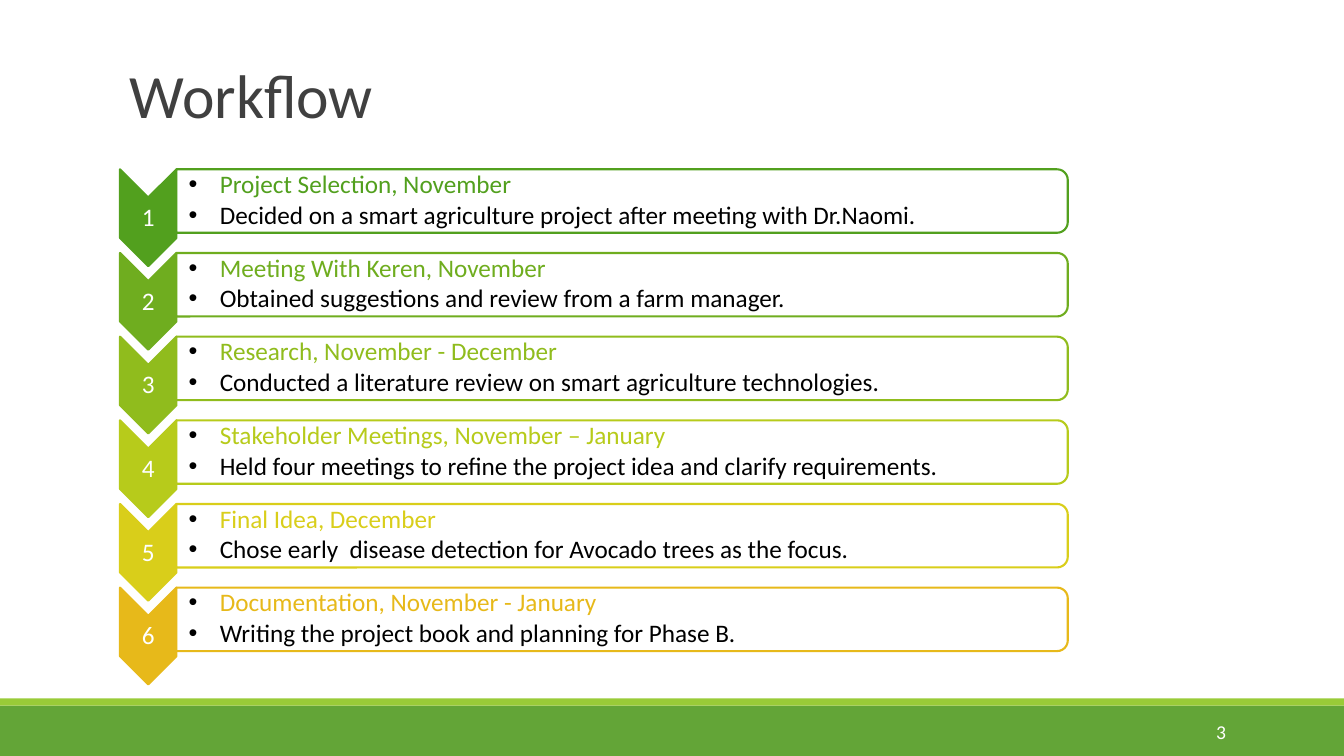
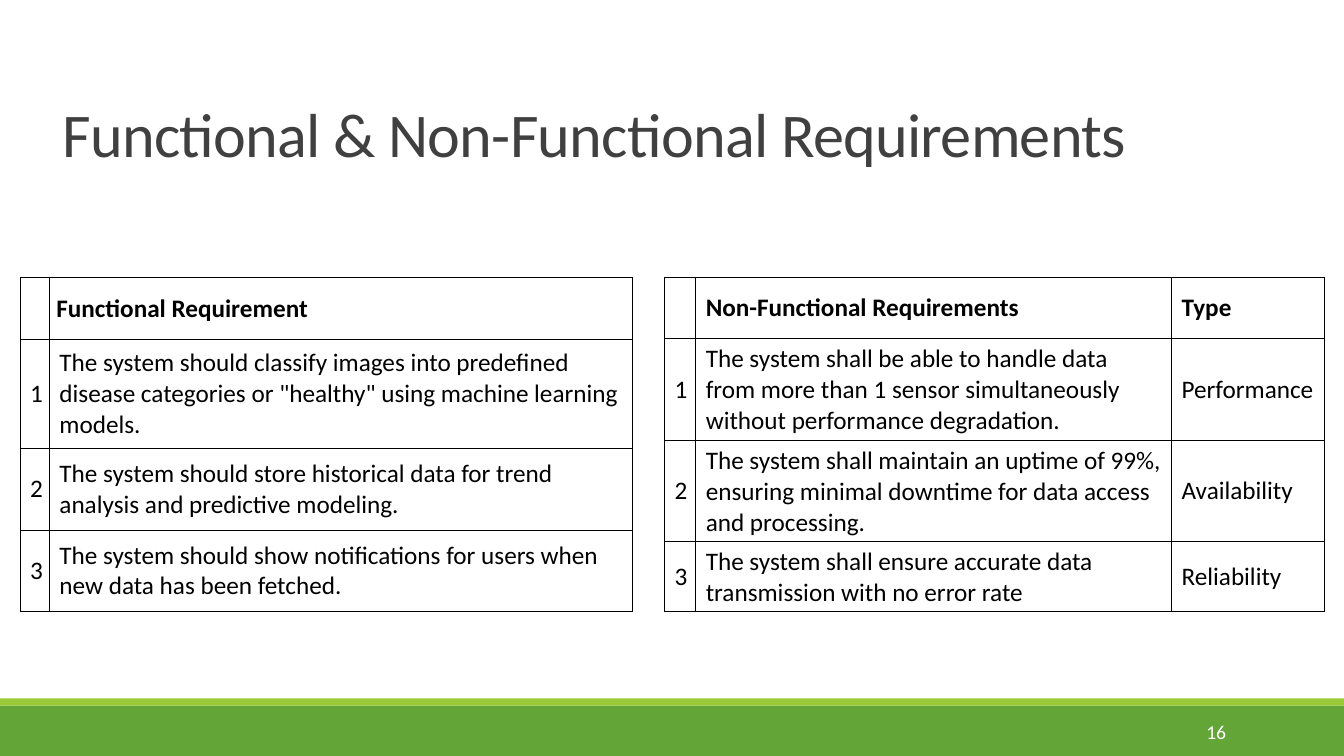
from lxml.etree import SubElement
from pptx import Presentation
from pptx.dml.color import RGBColor
from pptx.enum.shapes import MSO_SHAPE as Shape
from pptx.enum.text import MSO_ANCHOR as Anchor, PP_ALIGN as Align
from pptx.oxml.ns import qn
from pptx.util import Pt

EMU_PER_PX = 9144
COLORS = {
    "band": "63A537",
    "stripe": "99CB38",
    "title": "404040",
    "text": "000000",
    "paper": "FFFFFF",
    "step1": "52A01E",
    "step2": "6FAD1F",
    "step3": "90BC1D",
    "step4": "B7CB1B",
    "step5": "D9CE1A",
    "step6": "E7B91A",
}

STEPS = [
    ("Project Selection, November",
     "Decided on a smart agriculture project after meeting with Dr.Naomi."),
    ("Meeting With Keren, November",
     "Obtained suggestions and review from a farm manager."),
    ("Research, November - December",
     "Conducted a literature review on smart agriculture technologies."),
    ("Stakeholder Meetings, November – January",
     "Held four meetings to refine the project idea and clarify requirements."),
    ("Final Idea, December",
     "Chose early  disease detection for Avocado trees as the focus."),
    ("Documentation, November - January",
     "Writing the project book and planning for Phase B."),
]

FUNCTIONAL = [
    ("", "Functional Requirement"),
    ("1", "The system should classify images into predefined disease categories "
          "or \"healthy\" using machine learning models."),
    ("2", "The system should store historical data for trend analysis and "
          "predictive modeling."),
    ("3", "The system should show notifications for users when new data has "
          "been fetched."),
]

NON_FUNCTIONAL = [
    ("", "Non-Functional Requirements", "Type"),
    ("1", "The system shall be able to handle data from more than 1 sensor "
          "simultaneously without performance degradation.", "Performance"),
    ("2", "The system shall maintain an uptime of 99%, ensuring minimal downtime "
          "for data access and processing.", "Availability"),
    ("3", "The system shall ensure accurate data transmission with no error rate",
     "Reliability"),
]


def px(length):
    return int(length * EMU_PER_PX)


def rgb(name):
    return RGBColor.from_string(COLORS[name])


class Deck:
    font_name = "Calibri"
    insets = (10, 5, 10, 5)
    tight = (1, 1, 1, 1)

    def __init__(self):
        self.prs = Presentation()
        self.prs.slide_width = px(1333)
        self.prs.slide_height = px(750)
        self.slide = None

    def new_slide(self, number):
        self.slide = self.prs.slides.add_slide(self.prs.slide_layouts[6])
        self.shape(Shape.RECTANGLE, (0, 700, 1333, 50), "band")
        self.shape(Shape.RECTANGLE, (0, 693, 1333, 7), "stripe")
        self.text((1083, 706, 143, 40), [(number, "paper")], size=14,
                  align=Align.RIGHT)

    def shape(self, preset, box, fill, line=None, adjust=(), turned=False, alpha=None):
        left, top, width, height = box
        if turned:
            shift = (width - height) / 2
            left, top, width, height = left + shift, top - shift, height, width
        item = self.slide.shapes.add_shape(preset, *map(px, (left, top, width, height)))
        item.shadow.inherit = False
        item.rotation = 90 if turned else 0
        for index, value in enumerate(adjust):
            item.adjustments[index] = value
        item.fill.solid()
        item.fill.fore_color.rgb = rgb(fill)
        if alpha:
            color = item.fill._xPr.find(qn("a:solidFill"))[0]
            SubElement(color, qn("a:alpha")).set("val", str(alpha * 1000))
        if line:
            item.line.color.rgb = rgb(line)
            item.line.width = Pt(1.5)
        else:
            item.line.fill.background()

    def style(self, font, color, size, bold=False):
        font.name = self.font_name
        font.size = Pt(size)
        font.bold = bold
        font.color.rgb = rgb(color)

    def bullet(self, paragraph, indent=31):
        props = paragraph._p.get_or_add_pPr()
        props.set("marL", str(px(indent)))
        props.set("indent", str(px(-indent)))
        tint = SubElement(props, qn("a:buClr"))
        SubElement(tint, qn("a:srgbClr")).set("val", COLORS["text"])
        SubElement(props, qn("a:buFont")).set("typeface", "Arial")
        SubElement(props, qn("a:buChar")).set("char", "•")

    def text(self, box, lines, size=18, align=Align.LEFT, anchor=Anchor.MIDDLE,
             insets=insets, line_spacing=None, bullets=False, tracking=None):
        frame = self.slide.shapes.add_textbox(*map(px, box)).text_frame
        frame.word_wrap = True
        frame.vertical_anchor = anchor
        (frame.margin_left, frame.margin_top,
         frame.margin_right, frame.margin_bottom) = map(px, insets)
        for index, (words, color) in enumerate(lines):
            paragraph = frame.add_paragraph() if index else frame.paragraphs[0]
            if bullets:
                self.bullet(paragraph)
            if index:
                paragraph.space_before = Pt(2.4)
            paragraph.alignment = align
            paragraph.line_spacing = line_spacing
            run = paragraph.add_run()
            run.text = words
            self.style(paragraph.font, color, size)
            if tracking:
                run._r.get_or_add_rPr().set("spc", str(tracking))

    def title(self, box, words, size=44, **options):
        self.text(box, [(words, "title")], size=size, **options)

    def step(self, number, top, heading, detail):
        color = f"step{number}"
        self.shape(Shape.CHEVRON, (119, top, 56, 96), color, color, (0.5,), turned=True)
        self.text((119, top + 34, 56, 29), [(str(number), "paper")],
                  align=Align.CENTER, insets=self.tight, line_spacing=0.9)
        self.shape(Shape.ROUND_2_SAME_RECTANGLE, (175, top, 884, 63), "paper", color,
                   (0.167, 0), turned=True, alpha=90)
        self.text((175, top + 3, 882, 56), [(heading, color), (detail, "text")],
                  insets=(12, 1, 1, 1), line_spacing=0.9, bullets=True)

    def borders(self, cell):
        props = cell._tc.get_or_add_tcPr()
        for side in ("lnL", "lnR", "lnT", "lnB"):
            edge = SubElement(props, qn(f"a:{side}"), w=str(Pt(0.75)))
            ink = SubElement(edge, qn("a:solidFill"))
            SubElement(ink, qn("a:srgbClr")).set("val", COLORS["text"])

    def table(self, left, top, widths, heights, rows, header_insets=insets):
        frame = self.slide.shapes.add_table(
            len(heights), len(widths),
            *map(px, (left, top, sum(widths), sum(heights))))
        grid = frame.table
        grid.first_row = grid.horz_banding = False
        for column, width in zip(grid.columns, widths):
            column.width = px(width)
        for r, (height, words) in enumerate(zip(heights, rows)):
            grid.rows[r].height = px(height)
            for c, content in enumerate(words):
                cell = grid.cell(r, c)
                self.borders(cell)
                cell.fill.background()
                cell.vertical_anchor = Anchor.MIDDLE
                (cell.margin_left, cell.margin_top, cell.margin_right,
                 cell.margin_bottom) = map(px, self.insets if r else header_insets)
                cell.text = content
                self.style(cell.text_frame.paragraphs[0].font, "text", 18, bold=r == 0)

    def save(self):
        self.prs.save("out.pptx")


def main():
    deck = Deck()

    deck.new_slide("3")
    deck.title((119, 52, 666, 84), "Workflow", anchor=Anchor.TOP)
    for index, (heading, detail) in enumerate(STEPS):
        deck.step(index + 1, 168 + 83 * index, heading, detail)

    deck.new_slide("16")
    deck.title((52, 86, 1150, 101), "Functional & Non-Functional Requirements",
               size=44.4, line_spacing=0.9, tracking=-50)
    deck.table(20, 275, (29, 578), (62, 108, 81, 81), FUNCTIONAL, (7, 7, 7, 7))
    deck.table(659, 275, (31, 472, 152), (61, 101, 100, 70), NON_FUNCTIONAL)

    deck.save()


if __name__ == "__main__":
    main()
